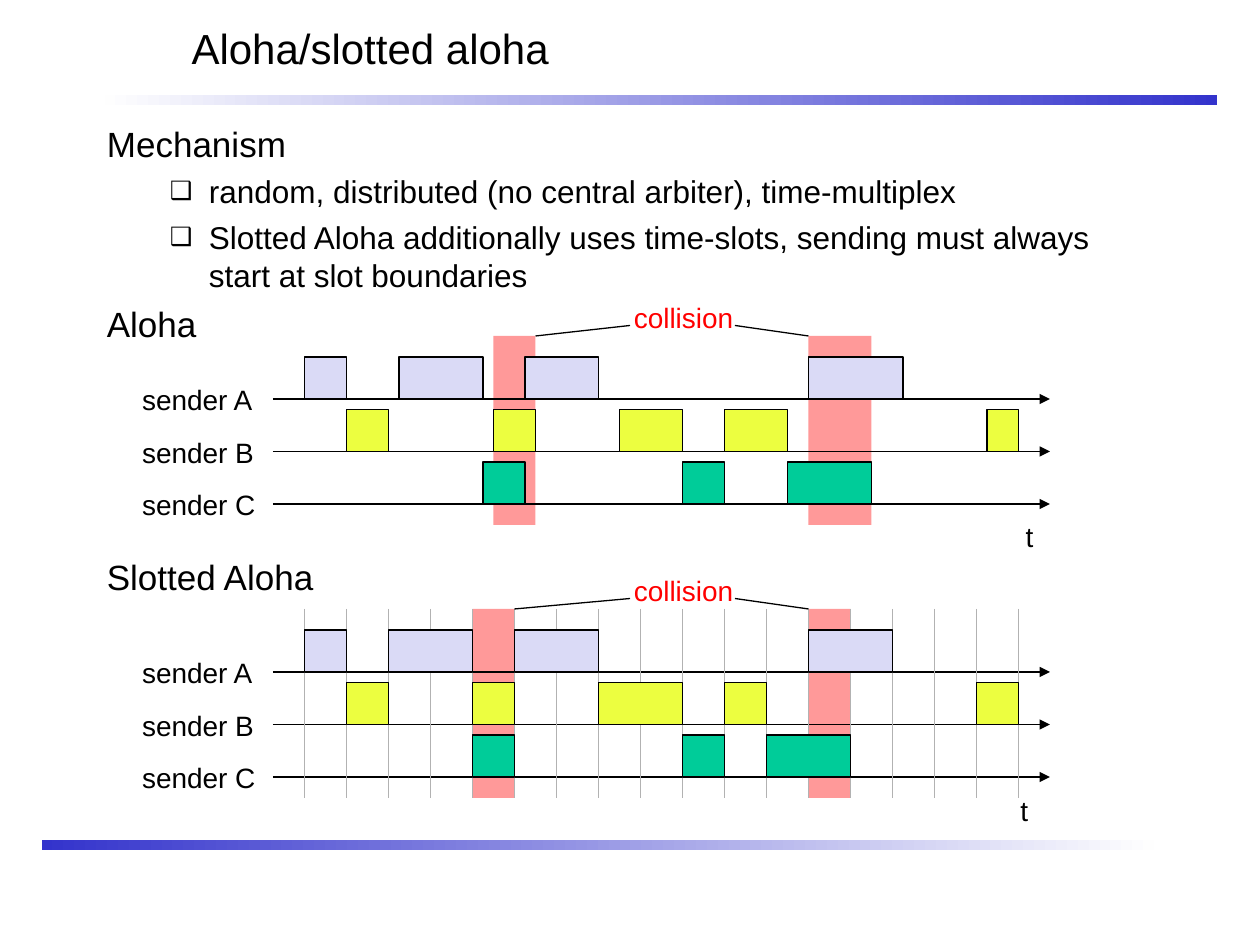
import pptx
from dataclasses import dataclass
from lxml import etree
from pptx.dml.color import RGBColor
from pptx.enum.shapes import MSO_CONNECTOR, MSO_SHAPE
from pptx.enum.text import MSO_ANCHOR, MSO_AUTO_SIZE, PP_ALIGN
from pptx.oxml.ns import qn
from pptx.util import Inches, Pt


@dataclass(frozen=True)
class Theme:
    font: str = "Arial"
    ink: str = "000000"
    alert: str = "FF0000"
    collision: str = "FF9999"
    slot: str = "B2B2B2"
    bar_dark: str = "3333CC"
    bar_light: str = "FEFEFE"
    senders: tuple = (("sender A", "DADAF6"), ("sender B", "ECFE40"), ("sender C", "00CC99"))
    title_size: int = 24
    heading_size: int = 20
    bullet_size: int = 18
    label_size: int = 16
    line_width: float = 0.75


THEME = Theme()

# Diagram grid, in twelfths of an inch
AXIS_START, AXIS_END = 26, 100
FIRST_SLOT, LAST_SLOT, SLOT = 29, 97, 4
LANE_OFFSET, LANE_STEP, BLOCK_HEIGHT = 6, 5, 4
DIAGRAM_HEIGHT = 18

# Each block and collision is (start, width); one list of blocks per sender
ALOHA = dict(
    top=32,
    collisions=[(47, 4), (77, 6)],
    lanes=[
        [(29, 4), (38, 8), (50, 7), (77, 9)],
        [(33, 4), (47, 4), (59, 6), (69, 6), (94, 3)],
        [(46, 4), (65, 4), (75, 8)],
    ],
    time_at=(8.04, 4.07),
)
SLOTTED_ALOHA = dict(
    top=58,
    collisions=[(45, 4), (77, 4)],
    lanes=[
        [(29, 4), (37, 8), (49, 8), (77, 8)],
        [(33, 4), (45, 4), (57, 8), (69, 4), (93, 4)],
        [(45, 4), (65, 4), (73, 8)],
    ],
    time_at=(8, 6.25),
    slotted=True,
)


def grid(units):
    return Inches(units / 12)


def color(value):
    return RGBColor.from_string(value)


def style(paragraph, size, ink=THEME.ink):
    paragraph.font.name = THEME.font
    paragraph.font.size = Pt(size)
    paragraph.font.color.rgb = color(ink)


def add_box(slide, left, top, width, height, fill, outlined=False):
    shape = slide.shapes.add_shape(
        MSO_SHAPE.RECTANGLE, grid(left), grid(top), grid(width), grid(height))
    shape.shadow.inherit = False
    shape.fill.solid()
    shape.fill.fore_color.rgb = color(fill)
    if outlined:
        shape.line.color.rgb = color(THEME.ink)
        shape.line.width = Pt(THEME.line_width)
    else:
        shape.line.fill.background()


def add_gradient_bar(slide, left, top, stops):
    shape = slide.shapes.add_shape(
        MSO_SHAPE.RECTANGLE, Inches(left), Inches(top), Inches(8.83), Inches(0.08))
    shape.shadow.inherit = False
    shape.line.fill.background()
    shape.fill.gradient()
    shape.fill.gradient_angle = 180
    for stop, value in zip(shape.fill.gradient_stops, stops):
        stop.color.rgb = color(value)


def add_line(slide, start, end, ink=THEME.ink, arrow=False):
    connector = slide.shapes.add_connector(
        MSO_CONNECTOR.STRAIGHT, grid(start[0]), grid(start[1]), grid(end[0]), grid(end[1]))
    connector.line.color.rgb = color(ink)
    connector.line.width = Pt(THEME.line_width)
    if arrow:
        etree.SubElement(connector.line._get_or_add_ln(), qn("a:tailEnd"), type="triangle")
    etree.SubElement(connector._element.spPr, qn("a:effectLst"))


def add_label(slide, text, left, top, width, ink=THEME.ink, align=PP_ALIGN.CENTER):
    label = slide.shapes.add_textbox(Inches(left), Inches(top), Inches(width), Inches(0.37))
    frame = label.text_frame
    frame.word_wrap = False
    frame.auto_size = MSO_AUTO_SIZE.SHAPE_TO_FIT_TEXT
    frame.vertical_anchor = MSO_ANCHOR.MIDDLE
    frame.text = text
    frame.paragraphs[0].alignment = align
    style(frame.paragraphs[0], THEME.label_size, ink)


def set_title(slide, text):
    title = slide.shapes.title
    title.left, title.top = Inches(1.42), Inches(0)
    title.width, title.height = Inches(8.42), Inches(0.75)
    title.text_frame.text = text
    title.text_frame.vertical_anchor = MSO_ANCHOR.MIDDLE
    title.text_frame.paragraphs[0].alignment = PP_ALIGN.LEFT
    style(title.text_frame.paragraphs[0], THEME.title_size)


def add_bullet(paragraph):
    properties = paragraph._p.get_or_add_pPr()
    properties.set("marL", str(Inches(0.81)))
    properties.set("indent", str(Inches(-0.31)))
    etree.SubElement(properties, qn("a:buSzPct"), val="80000")
    etree.SubElement(properties, qn("a:buFont"), typeface=THEME.font)
    etree.SubElement(properties, qn("a:buChar"), char="❑")


def add_outline(slide, items):
    """Write (text, is_bullet, space_before) items as one text block."""
    box = slide.shapes.add_textbox(Inches(0.75), Inches(0.92), Inches(8.5), Inches(5.75))
    frame = box.text_frame
    frame.word_wrap = True
    for index, (text, is_bullet, space_before) in enumerate(items):
        paragraph = frame.add_paragraph() if index else frame.paragraphs[0]
        paragraph.text = text
        paragraph.space_before = Pt(space_before)
        if is_bullet:
            add_bullet(paragraph)
        style(paragraph, THEME.bullet_size if is_bullet else THEME.heading_size)


def add_diagram(slide, top, collisions, lanes, time_at, slotted=False):
    bottom = top + DIAGRAM_HEIGHT
    baselines = [top + LANE_OFFSET + LANE_STEP * index for index in range(len(lanes))]

    # Collision bands lie behind everything else
    for start, width in collisions:
        add_box(slide, start, top, width, DIAGRAM_HEIGHT, THEME.collision)

    # Sender axes and slot boundaries
    for baseline, (name, _) in zip(baselines, THEME.senders):
        add_line(slide, (AXIS_START, baseline), (AXIS_END, baseline), arrow=True)
        add_label(slide, name, 1.03, baseline / 12 - 0.18, 1.14, align=PP_ALIGN.LEFT)
    if slotted:
        for x in range(FIRST_SLOT, LAST_SLOT + 1, SLOT):
            add_line(slide, (x, top), (x, bottom), THEME.slot)

    # Transmissions
    for baseline, blocks, (_, fill) in zip(baselines, lanes, THEME.senders):
        for start, width in blocks:
            add_box(slide, start, baseline - BLOCK_HEIGHT, width, BLOCK_HEIGHT, fill, True)

    # Collision callout and time label
    (first_start, first_width), (second_start, _) = collisions
    add_line(slide, (first_start + first_width, top), (60, top - 1))
    add_line(slide, (second_start, top), (70, top - 1))
    add_label(slide, "collision", 4.93, top / 12 - 0.33, 0.99, THEME.alert)
    add_label(slide, "t", *time_at, 0.26)


def main():
    presentation = pptx.Presentation()
    presentation.slide_width, presentation.slide_height = Inches(10), Inches(7.5)
    slide = presentation.slides.add_slide(presentation.slide_layouts[5])

    set_title(slide, "Aloha/slotted aloha")
    add_gradient_bar(slide, 0.83, 0.75, (THEME.bar_dark, THEME.bar_light))
    add_gradient_bar(slide, 0.33, 6.67, (THEME.bar_light, THEME.bar_dark))
    add_outline(slide, [
        ("Mechanism", False, 0),
        ("random, distributed (no central arbiter), time-multiplex", True, 4.5),
        ("Slotted Aloha additionally uses time-slots, sending must always "
         "start at slot boundaries", True, 4.5),
        ("Aloha", False, 5),
        ("Slotted Aloha", False, 121),
    ])
    add_diagram(slide, **ALOHA)
    add_diagram(slide, **SLOTTED_ALOHA)

    presentation.save("out.pptx")


if __name__ == "__main__":
    main()
